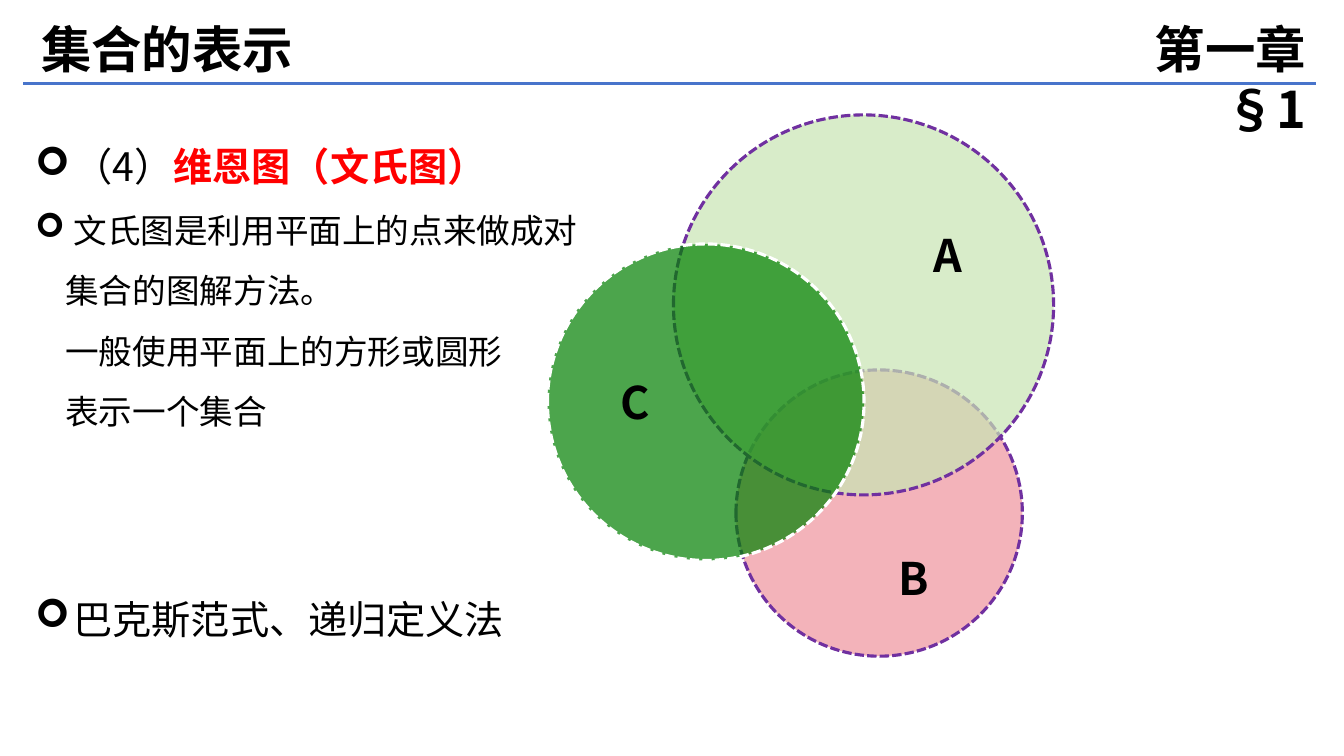
from lxml import etree
from pptx import Presentation
from pptx.dml.color import RGBColor
from pptx.enum.dml import MSO_LINE
from pptx.enum.shapes import MSO_CONNECTOR, MSO_SHAPE
from pptx.enum.text import MSO_AUTO_SIZE, PP_ALIGN
from pptx.oxml.ns import qn
from pptx.util import Inches, Pt

# Content
FONT = "Noto Sans CJK SC"
BLACK, RED, BLUE, PURPLE, WHITE = "000000", "FF0000", "4874CB", "7030A0", "FFFFFF"
TITLE = "集合的表示"
CHAPTER = "第一章 §1"
# (runs as (text, color, bold), size, bulleted, space before in points)
BODY = [
    ([("（4）", BLACK, False), ("维恩图（文氏图）", RED, True)], 28, True, 0),
    ([("文氏图是利用平面上的点来做成对", BLACK, False)], 24, True, 0),
    ([("集合的图解方法。", BLACK, False)], 24, False, 0),
    ([("一般使用平面上的方形或圆形", BLACK, False)], 24, False, 0),
    ([("表示一个集合", BLACK, False)], 24, False, 0),
    ([("巴克斯范式、递归定义法", BLACK, False)], 28, True, 100),
]
# (left, top, diameter, fill, outline), back to front
CIRCLES = [
    (7.3, 3.67, 2.84, "EF949E", PURPLE),
    (6.68, 1.14, 3.77, "C8E5B3", PURPLE),
    (5.43, 2.42, 3.14, "008000", WHITE),
]
LABELS = [("A", 9.16, 2.21), ("B", 8.81, 5.41), ("C", 6.06, 3.67)]
FILL_OPACITY = 70
BULLET_INDENT = 0.38
PLAIN_INDENT = 0.3

presentation = Presentation()
presentation.slide_width = Inches(13.33)
presentation.slide_height = Inches(7.5)
slide = presentation.slides.add_slide(presentation.slide_layouts[6])


def rgb(color):
    return RGBColor.from_string(color)


def format_run(run, size, color, bold):
    run.font.name = FONT
    run.font.size = Pt(size)
    run.font.bold = bold
    run.font.color.rgb = rgb(color)
    east_asian = etree.SubElement(run.font._element, qn("a:ea"))
    east_asian.set("typeface", FONT)


def add_text_frame(left, top, width, height, wrap=True):
    box = slide.shapes.add_textbox(Inches(left), Inches(top), Inches(width), Inches(height))
    box.text_frame.word_wrap = wrap
    return box.text_frame


def add_heading(text, left, top, width, height, size, align=PP_ALIGN.LEFT, wrap=True):
    frame = add_text_frame(left, top, width, height, wrap)
    frame.auto_size = MSO_AUTO_SIZE.SHAPE_TO_FIT_TEXT
    frame.text = text
    paragraph = frame.paragraphs[0]
    paragraph.alignment = align
    format_run(paragraph.runs[0], size, BLACK, True)


def set_indent(paragraph, bulleted):
    properties = paragraph._p.get_or_add_pPr()
    margin = BULLET_INDENT if bulleted else PLAIN_INDENT
    properties.set("marL", str(Inches(margin)))
    properties.set("indent", str(-Inches(margin) if bulleted else 0))
    if bulleted:
        etree.SubElement(properties, qn("a:buFont")).set("typeface", "Wingdings")
        etree.SubElement(properties, qn("a:buChar")).set("char", "➢")


# Header rule, title and chapter
rule = slide.shapes.add_connector(
    MSO_CONNECTOR.STRAIGHT, Inches(0.23), Inches(0.83), Inches(13.05), Inches(0.83))
rule.line.color.rgb = rgb(BLUE)
rule.line.width = Pt(2.25)
etree.SubElement(rule._element.spPr, qn("a:effectLst"))
add_heading(TITLE, 0.31, 0.13, 2.7, 0.71, 36, wrap=False)
add_heading(CHAPTER, 10.51, 0.13, 2.54, 0.71, 36, PP_ALIGN.RIGHT)

# Body text
body = add_text_frame(0.25, 1.13, 12.25, 6.29)
for index, (runs, size, bulleted, space_before) in enumerate(BODY):
    paragraph = body.add_paragraph() if index else body.paragraphs[0]
    paragraph.alignment = PP_ALIGN.JUSTIFY
    paragraph.line_spacing = 1.5
    paragraph.space_before = Pt(space_before)
    set_indent(paragraph, bulleted)
    for text, color, bold in runs:
        run = paragraph.add_run()
        run.text = text
        format_run(run, size, color, bold)

# Venn diagram
for left, top, diameter, fill, outline in CIRCLES:
    circle = slide.shapes.add_shape(
        MSO_SHAPE.OVAL, Inches(left), Inches(top), Inches(diameter), Inches(diameter))
    circle.shadow.inherit = False
    circle.fill.solid()
    circle.fill.fore_color.rgb = rgb(fill)
    fill_color = circle._element.spPr.find(qn("a:solidFill")).find(qn("a:srgbClr"))
    etree.SubElement(fill_color, qn("a:alpha")).set("val", str(FILL_OPACITY * 1000))
    circle.line.color.rgb = rgb(outline)
    circle.line.width = Pt(2.25)
    circle.line.dash_style = MSO_LINE.SQUARE_DOT
    # SQUARE_DOT is written as sysDot; the outline uses short dashes
    circle.line._ln.find(qn("a:prstDash")).set("val", "sysDash")

for text, left, top in LABELS:
    add_heading(text, left, top, 0.39, 0.64, 32)

presentation.save("out.pptx")
